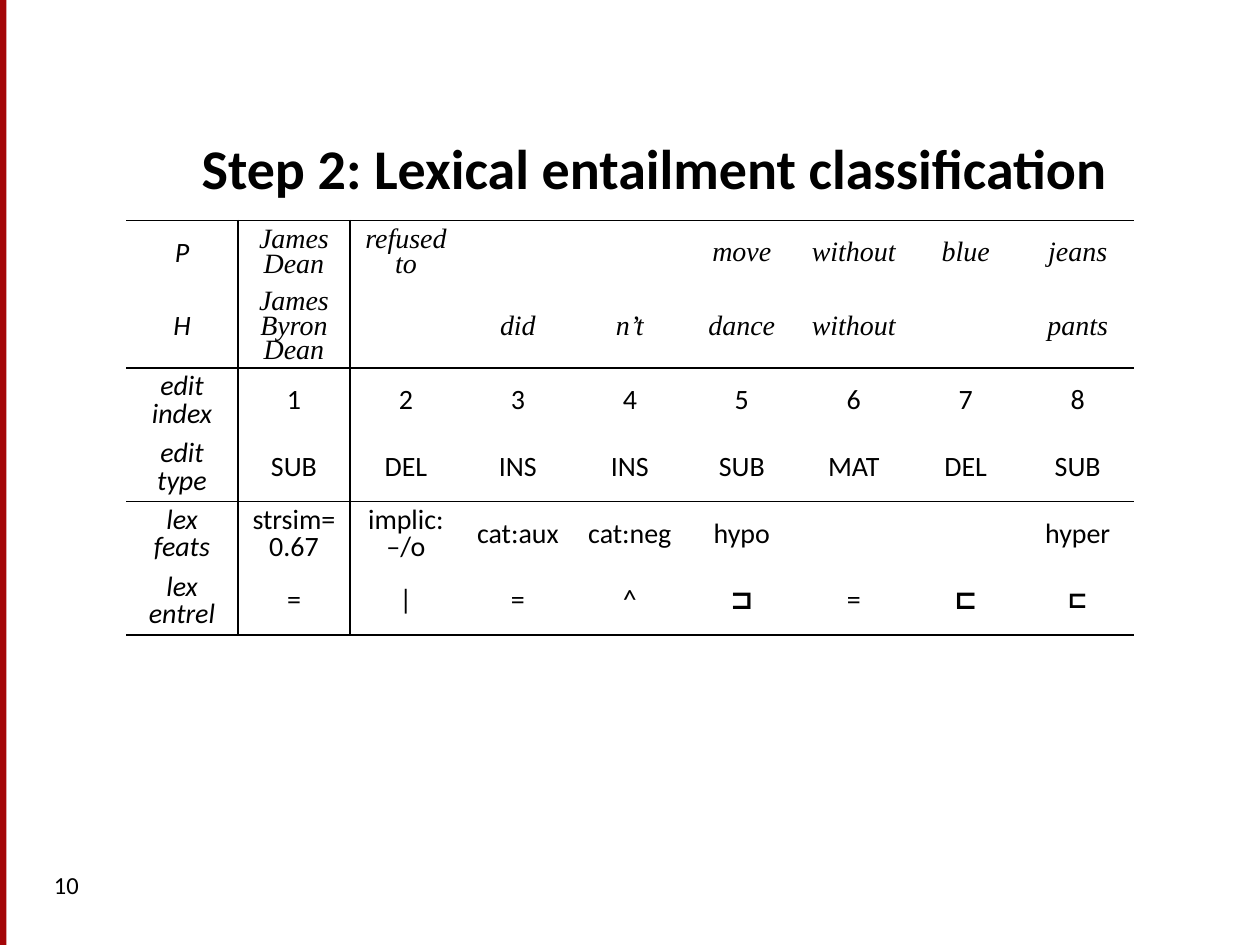
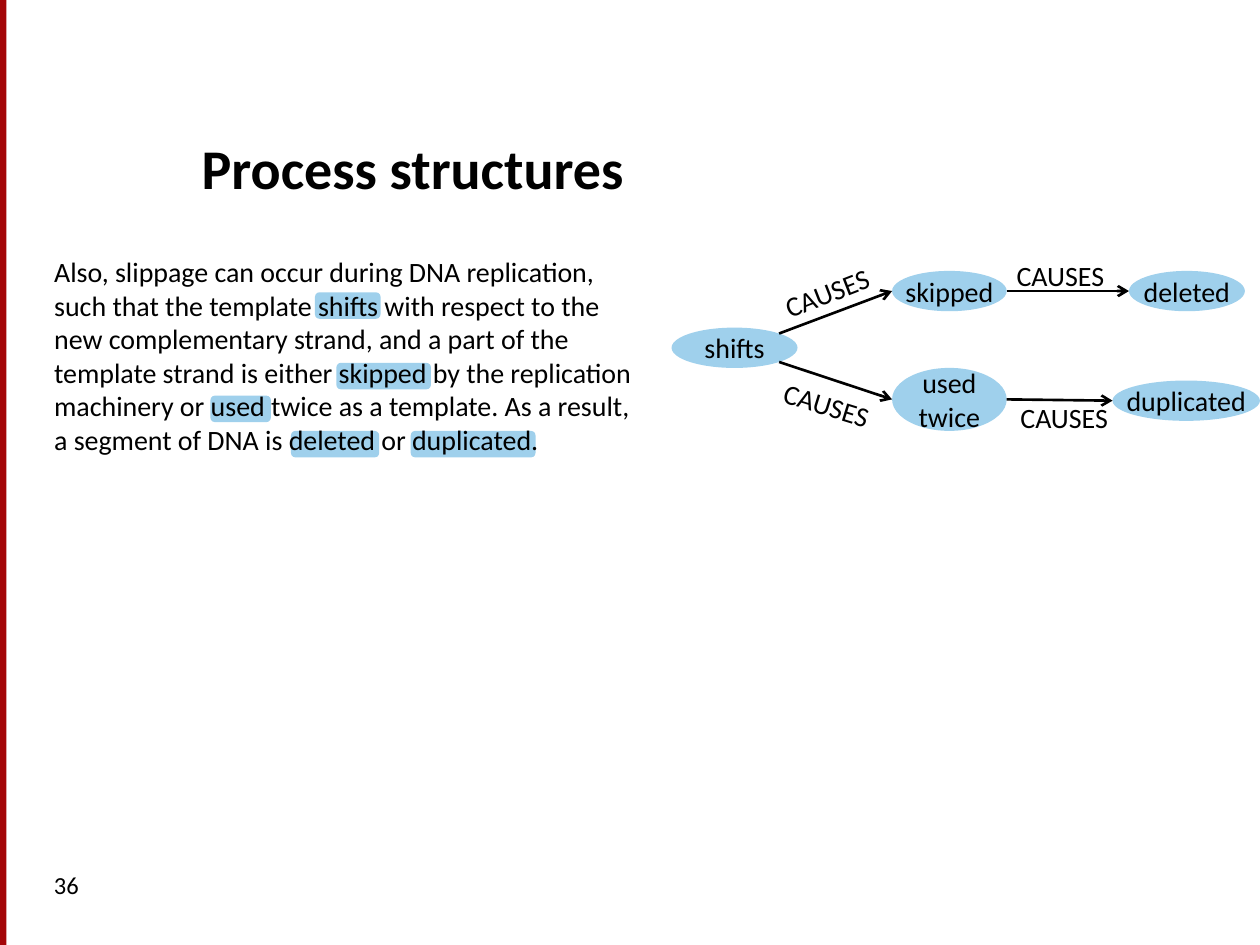
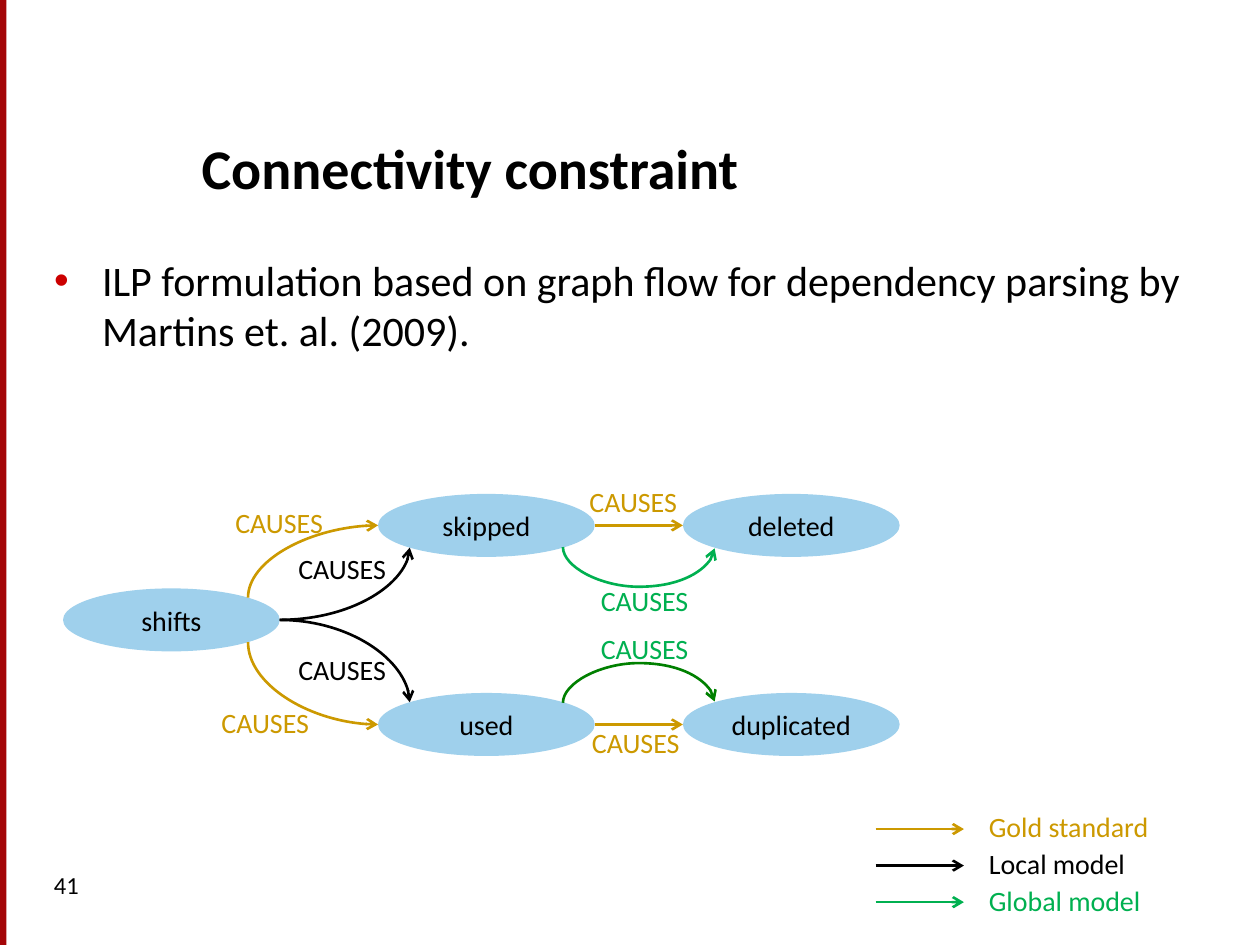
"""Build three slides on lexical entailment and process structures."""
from math import cos, radians, sin

from lxml.etree import SubElement
from pptx import Presentation
from pptx.dml.color import RGBColor
from pptx.enum.shapes import MSO_CONNECTOR, MSO_SHAPE
from pptx.enum.text import MSO_ANCHOR, MSO_AUTO_SIZE, PP_ALIGN
from pptx.oxml import parse_xml
from pptx.oxml.ns import nsdecls, qn
from pptx.util import Inches, Pt

BLACK, RED, BULLET_RED, BLUE = "000000", "A40508", "CC0000", "9FD0EC"
GOLD, GREEN, DARK_GREEN = "CC9900", "00B050", "008000"
FONT, SERIF, SYMBOL_FONT = "Calibri", "Times New Roman", "Arial"
PAGE_WIDTH, PAGE_HEIGHT, MARGIN = 10, 7.5, 0.33
NO_STYLE = "{2D5ABB26-0587-4C30-8999-92F81FD0307C}"
LEFT, BOTTOM_LEFT, BOTTOM_RIGHT, RIGHT, TOP_RIGHT, TOP_LEFT = 2, 3, 5, 6, 7, 1

EDITS = [
    ["P", "James Dean", "refused to", "", "", "move", "without", "blue", "jeans"],
    ["H", "James Byron Dean", "", "did", "n’t", "dance", "without", "", "pants"],
    ["edit\nindex", "1", "2", "3", "4", "5", "6", "7", "8"],
    ["edit\ntype", "SUB", "DEL", "INS", "INS", "SUB", "MAT", "DEL", "SUB"],
    ["lex\nfeats", "strsim=\n0.67", "implic:\n–/o", "cat:aux", "cat:neg", "hypo", "", "", "hyper"],
    ["lex\nentrel", "=", "|", "=", "^", "⊐", "=", "⊏", "⊏"],
]
SENTENCE_ROWS, RULED_ROWS = (0, 1), (1, 3, 5)

PASSAGE = (
    "Also, slippage can occur during DNA replication, such that the template shifts "
    "with respect to the new complementary strand, and a part of the template strand is "
    "either skipped by the replication machinery or used twice as a template. As a result, "
    "a segment of DNA is deleted or duplicated."
)
MARKED_WORDS = [(2.5, 2.32, 0.52), (2.67, 2.88, 0.75), (1.67, 3.14, 0.48),
                (2.31, 3.42, 0.7), (3.26, 3.42, 0.99)]
PROCESS_NODES = {
    "shifts": (5.33, 2.6, 1, 0.32),
    "skipped": (7.08, 2.15, 0.91, 0.32),
    "used\ntwice": (7.08, 2.92, 0.91, 0.5),
    "deleted": (8.96, 2.15, 0.92, 0.32),
    "duplicated": (8.83, 3.02, 1.17, 0.32),
}
PROCESS_LINKS = [
    ("shifts", TOP_RIGHT, "skipped", LEFT),
    ("shifts", BOTTOM_RIGHT, "used\ntwice", LEFT),
    ("skipped", RIGHT, "deleted", LEFT),
    ("used\ntwice", RIGHT, "duplicated", LEFT),
]
PROCESS_LABELS = [(6.11, 2.1, 338.8), (6.11, 3.06, 17.2), (8, 3.13, 0), (7.97, 2, 0)]

CONSTRAINT = "ILP formulation based on graph flow for dependency parsing by Martins et. al. (2009)."
MODEL_COLUMNS = (0.5, 3, 5.42)
MODEL_ROWS = (3.92, 4.67, 5.5)
MODEL_NODES = {"shifts": (0, 1), "skipped": (1, 0), "used": (1, 2),
               "deleted": (2, 0), "duplicated": (2, 2)}
MODEL_LINKS = [
    ("shifts", BOTTOM_RIGHT, "used", LEFT, GOLD, "curvedConnector2"),
    ("shifts", TOP_RIGHT, "skipped", LEFT, GOLD, "curvedConnector2"),
    ("shifts", RIGHT, "skipped", BOTTOM_LEFT, BLACK, "curvedConnector2"),
    ("shifts", RIGHT, "used", TOP_LEFT, BLACK, "curvedConnector2"),
    ("skipped", RIGHT, "deleted", LEFT, GOLD, None),
    ("used", RIGHT, "duplicated", LEFT, GOLD, None),
    ("skipped", BOTTOM_RIGHT, "deleted", BOTTOM_LEFT, GREEN, "curvedConnector3"),
    ("used", TOP_RIGHT, "duplicated", TOP_LEFT, DARK_GREEN, "curvedConnector3"),
]
MODEL_LABELS = [(1.77, 3.96, GOLD), (2.27, 4.33, BLACK), (2.27, 5.13, BLACK), (1.66, 5.55, GOLD),
                (4.58, 3.8, GOLD), (4.6, 5.71, GOLD), (4.67, 4.58, GREEN), (4.67, 4.96, GREEN)]
LEGEND = [("Gold standard", GOLD), ("Local model", BLACK), ("Global model", GREEN)]


def color(value):
    return RGBColor.from_string(value)


def place(shape, left, top, width, height):
    shape.left, shape.top = Inches(left), Inches(top)
    shape.width, shape.height = Inches(width), Inches(height)


def write(frame, text, size=16, tint=BLACK, font=FONT, bold=False, italic=False):
    para = frame.paragraphs[0]
    for number, line in enumerate(text.split("\n")):
        if number:
            para.add_line_break()
        span = para.add_run()
        span.text = line
        span.font.name, span.font.size = font, Pt(size)
        span.font.bold, span.font.italic = bold, italic
        span.font.color.rgb = color(tint)
    return para


def add_text(page, text, left, top, width, height=0.37, size=16, tint=BLACK):
    box = page.shapes.add_textbox(*map(Inches, (left, top, width, height)))
    box.text_frame.word_wrap = True
    write(box.text_frame, text, size, tint)
    return box


def add_block(page, kind, bounds, fill):
    block = page.shapes.add_shape(kind, *map(Inches, bounds))
    block.shadow.inherit = False
    block.fill.solid()
    block.fill.fore_color.rgb = color(fill)
    block.line.fill.background()
    return block


def add_page(deck, layout, title, number):
    page = deck.slides.add_slide(deck.slide_layouts[layout])
    add_block(page, MSO_SHAPE.RECTANGLE, (0, 0, 0.05, PAGE_HEIGHT), RED)
    heading = page.shapes.title
    place(heading, 1.5, 0.56, 8.17, 1.08)
    frame = heading.text_frame
    frame.auto_size, frame.vertical_anchor = MSO_AUTO_SIZE.NONE, MSO_ANCHOR.BOTTOM
    write(frame, title, 32, bold=True).alignment = PP_ALIGN.LEFT
    add_text(page, number, MARGIN, 6.86, 2.17, 0.5, 14)
    return page


def fill_body(page, text, size, width, height, bullet=None):
    body = page.placeholders[1]
    place(body, MARGIN, 1.97, width, height)
    body.text_frame.auto_size = MSO_AUTO_SIZE.NONE
    properties = write(body.text_frame, text, size)._p.get_or_add_pPr()
    indent = Inches(0.38) if bullet else 0
    properties.set("marL", str(indent))
    properties.set("indent", str(-indent))
    if bullet:
        SubElement(SubElement(properties, qn("a:buClr")), qn("a:srgbClr"), val=BULLET_RED)
        SubElement(properties, qn("a:buFont"), typeface=SYMBOL_FONT)
        SubElement(properties, qn("a:buChar"), char=bullet)
    else:
        SubElement(properties, qn("a:buNone"))
    return body


def add_node(page, text, bounds):
    node = add_block(page, MSO_SHAPE.OVAL, bounds, BLUE)
    frame = node.text_frame
    frame.word_wrap, frame.vertical_anchor = False, MSO_ANCHOR.MIDDLE
    write(frame, text).alignment = PP_ALIGN.CENTER
    return node


def node_site(node, site):
    """Return the point of one of an ellipse's eight connection sites, in inches."""
    angle = radians(90 + 45 * site)
    across = node.left + node.width / 2 * (1 + cos(angle))
    down = node.top + node.height / 2 * (1 - sin(angle))
    return across / Inches(1), down / Inches(1)


def add_arrow(page, start, end, tint=BLACK, kind=MSO_CONNECTOR.STRAIGHT):
    arrow = page.shapes.add_connector(kind, *map(Inches, (*start, *end)))
    arrow.line.color.rgb = color(tint)
    arrow.line.width = Pt(1.5)
    properties = arrow._element.spPr
    SubElement(properties.find(qn("a:ln")), qn("a:tailEnd"), type="arrow")
    SubElement(properties, qn("a:effectLst"))
    return arrow


def add_curve(page, start, end, site, tint, preset):
    """Draw a curve, turning its frame when it leaves its node up or down."""
    upright = site in (BOTTOM_RIGHT, TOP_RIGHT)
    if upright:
        width, height = max(abs(end[1] - start[1]), 0.01), abs(end[0] - start[0])
        left, top = (start[0] + end[0] - width) / 2, (start[1] + end[1] - height) / 2
        start, end = (left, top), (left + width, top + height)
    curve = add_arrow(page, start, end, tint, MSO_CONNECTOR.CURVE)
    geometry = curve._element.spPr.find(qn("a:prstGeom"))
    geometry.set("prst", preset)
    if upright:
        frame = curve._element.spPr.find(qn("a:xfrm"))
        frame.set("rot", str((270 if site == BOTTOM_RIGHT else 90) * 60000))
        frame.set("flipH", "1")
        frame.set("flipV", str(int(site == TOP_RIGHT)))
    if preset == "curvedConnector3":
        depth = round(0.32 / width * 100000)
        SubElement(geometry.find(qn("a:avLst")), qn("a:gd"), name="adj1", fmla=f"val {depth}")
    return curve


def link(page, source, source_site, target, target_site, tint=BLACK, preset=None):
    start, end = node_site(source, source_site), node_site(target, target_site)
    if preset:
        arrow = add_curve(page, start, end, source_site, tint, preset)
    else:
        arrow = add_arrow(page, start, end, tint)
    joints = arrow._element.find(".//" + qn("p:cNvCxnSpPr"))
    for tag, node, site in (("a:stCxn", source, source_site), ("a:endCxn", target, target_site)):
        SubElement(joints, qn(tag), id=str(node.shape_id), idx=str(site))


def rule_cell(cell, sides):
    for position, side in enumerate(sides):
        cell._tc.get_or_add_tcPr().insert(position, parse_xml(
            f'<a:ln{side} {nsdecls("a")} w="12700"><a:solidFill>'
            f'<a:srgbClr val="{BLACK}"/></a:solidFill></a:ln{side}>'))


def fill_cell(cell, text, row, column):
    cell.fill.background()
    cell.vertical_anchor = MSO_ANCHOR.MIDDLE
    cell.margin_top = cell.margin_bottom = 0
    symbol = text in ("⊐", "⊏")
    sentence = row in SENTENCE_ROWS and column > 0
    font = SYMBOL_FONT if symbol else SERIF if sentence else FONT
    size = 14 if symbol and column == len(EDITS[0]) - 1 else 16
    if text:
        para = write(cell.text_frame, text, size, font=font, bold=symbol,
                     italic=sentence or column == 0)
        para.alignment, para.line_spacing = PP_ALIGN.CENTER, 0.8
    sides = [("L", column == 1), ("R", column == 0), ("T", row == 0), ("B", row in RULED_ROWS)]
    rule_cell(cell, [side for side, ruled in sides if ruled])


def build_edit_page(deck):
    page = add_page(deck, 5, "Step 2: Lexical entailment classification", "10")
    rows, columns = len(EDITS), len(EDITS[0])
    holder = page.shapes.add_table(rows, columns, *map(Inches, (1, 1.75, 8, 0.53 * rows)))
    table = holder.table
    table.first_row = table.horz_banding = False
    table._tbl.tblPr.find(qn("a:tableStyleId")).text = NO_STYLE
    for row, texts in enumerate(EDITS):
        for column, text in enumerate(texts):
            fill_cell(table.cell(row, column), text, row, column)


def build_process_page(deck):
    page = add_page(deck, 1, "Process structures", "36")
    for left, top, width in MARKED_WORDS:
        add_block(page, MSO_SHAPE.ROUNDED_RECTANGLE, (left, top, width, 0.21), BLUE)
    body = fill_body(page, PASSAGE, 16, 4.92, 2.44)
    page.shapes._spTree.append(body._element)
    nodes = {text: add_node(page, text, bounds) for text, bounds in PROCESS_NODES.items()}
    for source, source_site, target, target_site in PROCESS_LINKS:
        link(page, nodes[source], source_site, nodes[target], target_site)
    for left, top, angle in PROCESS_LABELS:
        add_text(page, "CAUSES", left, top, 1.11).rotation = angle


def build_model_page(deck):
    page = add_page(deck, 1, "Connectivity constraint", "41")
    fill_body(page, CONSTRAINT, 24, PAGE_WIDTH - 2 * MARGIN, 1.78, "•")
    nodes = {text: add_node(page, text, (MODEL_COLUMNS[column], MODEL_ROWS[row], 1.72, 0.5))
             for text, (column, row) in MODEL_NODES.items()}
    for source, source_site, target, target_site, tint, preset in MODEL_LINKS:
        link(page, nodes[source], source_site, nodes[target], target_site, tint, preset)
    for left, top, tint in MODEL_LABELS:
        add_text(page, "CAUSES", left, top, 1.23, tint=tint)
    for number, (text, tint) in enumerate(LEGEND):
        level = 6.58 + 0.29 * number
        add_arrow(page, (6.95, level), (7.65, level), tint)
        add_text(page, text, 7.75, level - 0.2, 1.58, tint=tint)


def main():
    deck = Presentation()
    deck.slide_width, deck.slide_height = Inches(PAGE_WIDTH), Inches(PAGE_HEIGHT)
    build_edit_page(deck)
    build_process_page(deck)
    build_model_page(deck)
    deck.save("out.pptx")


if __name__ == "__main__":
    main()
